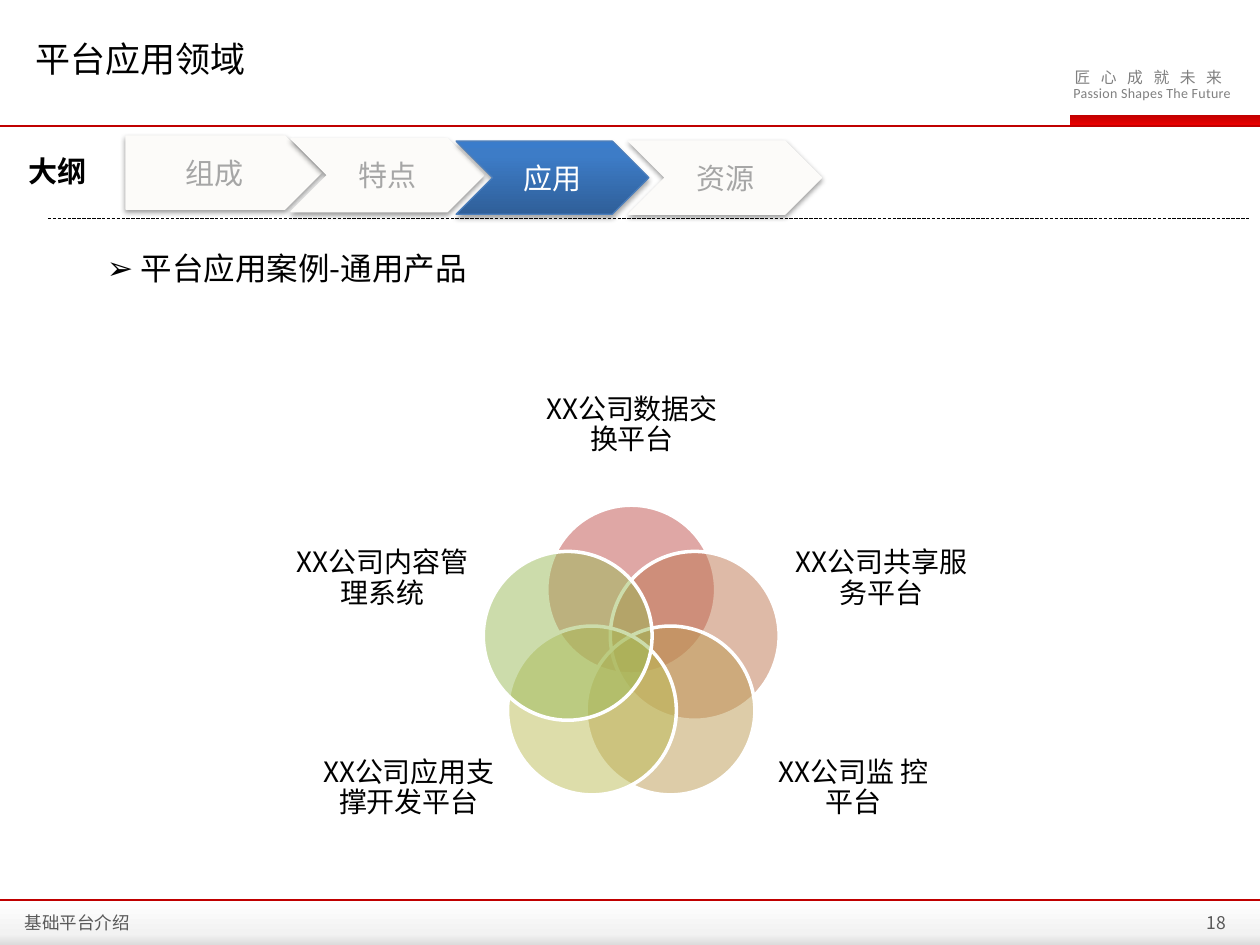
from dataclasses import dataclass
from math import cos, radians, sin
from typing import Optional

from lxml.etree import SubElement
from pptx import Presentation
from pptx.dml.color import RGBColor
from pptx.enum.dml import MSO_LINE
from pptx.enum.shapes import MSO_CONNECTOR, MSO_SHAPE
from pptx.enum.text import MSO_ANCHOR as Anchor, PP_ALIGN as Align
from pptx.oxml.ns import qn
from pptx.util import Inches, Pt

COLS, ROWS = 100, 75
CJK = "Noto Sans CJK SC"
LATIN = "Calibri"

BLACK = RGBColor(0x00, 0x00, 0x00)
WHITE = RGBColor(0xFF, 0xFF, 0xFF)
RED = RGBColor(0xC0, 0x00, 0x00)
BRIGHT_RED = RGBColor(0xEE, 0x00, 0x00)
SLOGAN_GRAY = RGBColor(0x80, 0x80, 0x80)
FOOTER_GRAY = RGBColor(0x59, 0x59, 0x59)
STEP_GRAY = RGBColor(0xA6, 0xA6, 0xA6)
STEP_FILL = RGBColor(0xFC, 0xFB, 0xF9)
STEP_BLUE = RGBColor(0x4B, 0x7E, 0xBC)

TAB_STOPS = [(0, RED), (100, BRIGHT_RED)]
FOOTER_STOPS = [(0, WHITE), (75, RGBColor(0xF2, 0xF2, 0xF2)), (100, RGBColor(0xDC, 0xDC, 0xDC))]
BLUE_STOPS = [(0, RGBColor(0x2F, 0x5F, 0x99)), (80, RGBColor(0x3D, 0x7C, 0xC7)),
              (100, RGBColor(0x3A, 0x7C, 0xCB))]


@dataclass(frozen=True)
class Box:
    col: float
    row: float
    cols: float
    rows: float


@dataclass(frozen=True)
class Style:
    size: float
    color: RGBColor = BLACK
    font: str = CJK
    bold: bool = False
    align: Align = Align.LEFT
    anchor: Anchor = Anchor.MIDDLE
    spacing: float = 0
    inset: Optional[float] = None
    line: Optional[float] = None
    after: Optional[float] = None


@dataclass(frozen=True)
class Label:
    text: str
    box: Box
    style: Style


@dataclass(frozen=True)
class Step:
    text: str
    box: Box
    geometry: MSO_SHAPE = MSO_SHAPE.CHEVRON
    active: bool = False


@dataclass(frozen=True)
class Petal:
    text: str
    color: RGBColor
    box: Box


@dataclass(frozen=True)
class Rule:
    start: float
    end: float
    row: float
    color: RGBColor
    width: float
    dash: Optional[MSO_LINE] = None


prs = Presentation()
prs.slide_width, prs.slide_height = Inches(10), Inches(7.5)
s = prs.slides.add_slide(prs.slide_layouts[6])


def x(cols: float) -> int:
    return round(prs.slide_width * cols / COLS)


def y(rows: float) -> int:
    return round(prs.slide_height * rows / ROWS)


def place(box: Box) -> tuple[int, int, int, int]:
    return x(box.col), y(box.row), x(box.cols), y(box.rows)


def write(sp, text: str, style: Style):
    tf = sp.text_frame
    tf.text = text
    tf.word_wrap = True
    tf.vertical_anchor = style.anchor
    if style.inset is not None:
        tf.margin_left = tf.margin_right = tf.margin_top = tf.margin_bottom = Inches(style.inset)
    p = tf.paragraphs[0]
    p.alignment = style.align
    if style.line:
        p.line_spacing = style.line
    if style.after:
        p.space_after = Pt(style.after)
    r = p.runs[0]
    r.font.size, r.font.name, r.font.bold = Pt(style.size), style.font, style.bold
    r.font.color.rgb = style.color
    rPr = r.font._element
    if style.spacing:
        rPr.set("spc", str(round(style.spacing * 100)))
    SubElement(rPr, qn("a:ea")).set("typeface", style.font)
    return p


def add_label(label: Label):
    return write(s.shapes.add_textbox(*place(label.box)), label.text, label.style)


def add_plain(geometry: MSO_SHAPE, box: Box):
    sp = s.shapes.add_shape(geometry, *place(box))
    sp.shadow.inherit = False
    sp.line.fill.background()
    return sp


def set_gradient(sp, stops: list[tuple[int, RGBColor]], angle: int) -> None:
    sp.fill.gradient()
    sp.fill.gradient_angle = 360 - angle
    gs_list = sp._element.spPr.find(".//" + qn("a:gsLst"))
    for old in list(gs_list):
        gs_list.remove(old)
    for position, color in stops:
        gs = SubElement(gs_list, qn("a:gs"), pos=str(position * 1000))
        SubElement(gs, qn("a:srgbClr"), val=str(color))


def set_alpha(parent, percent: int) -> None:
    SubElement(parent, qn("a:alpha"), val=str(percent * 1000))


def set_line(sp, color: RGBColor, width: float) -> None:
    sp.line.color.rgb = color
    sp.line.width = Pt(width)


def add_rule(rule: Rule) -> None:
    sp = s.shapes.add_connector(MSO_CONNECTOR.STRAIGHT, x(rule.start), y(rule.row),
                                x(rule.end), y(rule.row))
    set_line(sp, rule.color, rule.width)
    if rule.dash:
        sp.line.dash_style = rule.dash
    SubElement(sp._element.spPr, qn("a:effectLst"))
    sp._element.remove(sp._element.find(qn("p:style")))


def add_step(step: Step) -> None:
    sp = add_plain(step.geometry, step.box)
    if step.active:
        set_gradient(sp, BLUE_STOPS, 270)
    else:
        sp.fill.solid()
        sp.fill.fore_color.rgb = STEP_FILL
    set_line(sp, STEP_BLUE if step.active else STEP_FILL, 0.75)
    effects = sp._element.spPr.find(qn("a:effectLst"))
    shadow = SubElement(effects, qn("a:outerShdw"), blurRad=str(Pt(3.1)),
                        dist=str(Pt(1.8 if step.active else 1.6)), dir="5400000", rotWithShape="0")
    set_alpha(SubElement(shadow, qn("a:srgbClr"), val=str(BLACK)), 35 if step.active else 38)
    write(sp, step.text, Style(16.6, WHITE if step.active else STEP_GRAY, align=Align.CENTER))
    if step.active:
        sp.text_frame.margin_left = sp.text_frame.margin_right = Inches(0.02)


def add_petal(petal: Petal, angle: float) -> None:
    size, orbit, center_col, center_row = 13.4, 5.3, 50.1, 52.1
    col = center_col + orbit * sin(radians(angle)) - size / 2
    row = center_row - orbit * cos(radians(angle)) - size / 2
    sp = add_plain(MSO_SHAPE.OVAL, Box(col, row, size, size))
    sp.fill.solid()
    sp.fill.fore_color.rgb = petal.color
    set_alpha(sp._element.spPr.find(qn("a:solidFill"))[0], 50)
    set_line(sp, WHITE, 2)
    add_label(Label(petal.text, petal.box,
                    Style(16, align=Align.CENTER, inset=0, line=0.9, after=5.6)))


def add_bullet(p, mark: str, indent: float) -> None:
    pPr = p._p.get_or_add_pPr()
    pPr.set("marL", str(Inches(indent)))
    pPr.set("indent", str(-Inches(indent)))
    SubElement(pPr, qn("a:buFont"), typeface="Arial")
    SubElement(pPr, qn("a:buChar"), char=mark)


LABELS = [
    Label("匠 心 成 就 未 来", Box(84.3, 4.9, 15.1, 2.5),
          Style(9, SLOGAN_GRAY, anchor=Anchor.TOP, spacing=2)),
    Label("Passion Shapes The Future", Box(84.2, 6.2, 15.8, 2.4),
          Style(8, SLOGAN_GRAY, LATIN, anchor=Anchor.TOP, spacing=0.15)),
    Label("基础平台介绍", Box(1, 72.1, 34, 2.2), Style(10, FOOTER_GRAY)),
    Label("18", Box(86.5, 72, 11.8, 2.5), Style(10, FOOTER_GRAY, align=Align.RIGHT)),
    Label("平台应用领域", Box(1.8, 1.5, 84, 6.3), Style(20)),
]
RULES = [
    Rule(0, COLS, 10, RED, 1.5),
    Rule(0, COLS, 71.4, RED, 1.25),
    Rule(3.8, 99.1, 17.3, BLACK, 0.25, MSO_LINE.LONG_DASH),
]
STEPS = [
    Step("组成", Box(10, 10.8, 15.5, 5.8), MSO_SHAPE.PENTAGON),
    Step("特点", Box(23.1, 11, 15.3, 5.8)),
    Step("资源", Box(49.9, 11.2, 15.3, 5.8)),
    Step("应用", Box(36.2, 11.2, 15.3, 5.8), active=True),
]
PETALS = [
    Petal("XX公司数据交换平台", RGBColor(0xC0, 0x50, 0x4D), Box(42.4, 29.3, 15.5, 9)),
    Petal("XX公司共享服务平台", RGBColor(0xBF, 0x77, 0x50), Box(63, 41.1, 13.9, 9.7)),
    Petal("XX公司监 控平台", RGBColor(0xBD, 0x9B, 0x53), Box(60.8, 57.7, 13.9, 9.7)),
    Petal("XX公司应用支撑开发平台", RGBColor(0xBC, 0xBC, 0x56), Box(25.5, 57.7, 13.9, 9.7)),
    Petal("XX公司内容管理系统", RGBColor(0x9B, 0xBB, 0x59), Box(23.4, 41.1, 13.9, 9.7)),
]

set_gradient(add_plain(MSO_SHAPE.RECTANGLE, Box(84.9, 9.1, 15.1, 0.9)), TAB_STOPS, 90)
set_gradient(add_plain(MSO_SHAPE.RECTANGLE, Box(0, 71.4, COLS, 3.6)), FOOTER_STOPS, 90)
for rule in RULES:
    add_rule(rule)
for label in LABELS:
    add_label(label)
outline = add_plain(MSO_SHAPE.ROUNDED_RECTANGLE, Box(0.6, 9.2, 8, 8.7))
outline.fill.background()
write(outline, "大纲", Style(16.6, bold=True, align=Align.CENTER))
for step in STEPS:
    add_step(step)
for i, petal in enumerate(PETALS):
    add_petal(petal, i * 360 / len(PETALS))
heading = Label("平台应用案例-通用产品", Box(7.5, 19.3, 68, 10.1), Style(18, anchor=Anchor.TOP))
add_bullet(add_label(heading), "➢", 0.27)
prs.save("out.pptx")
